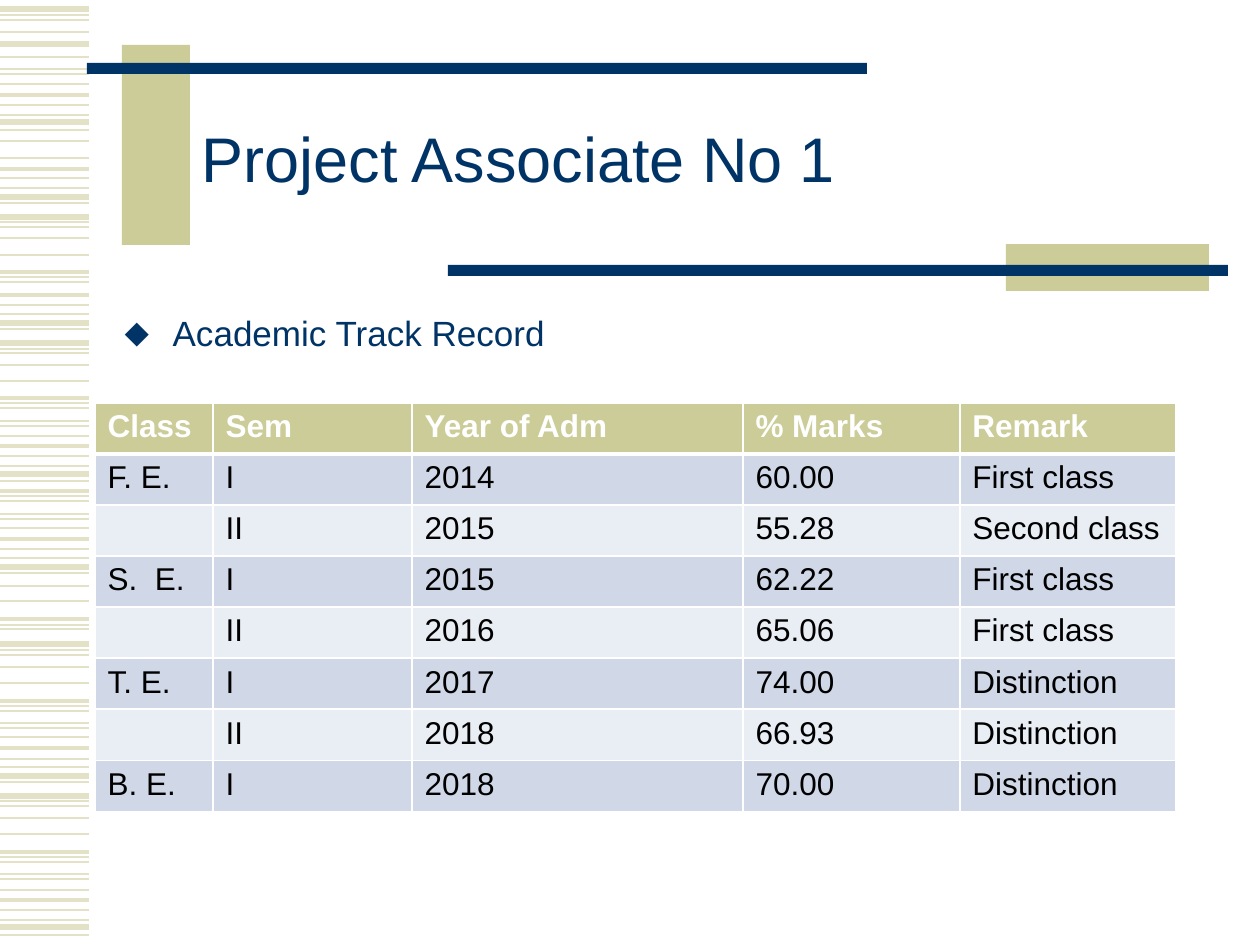
"""Build the academic track record slide."""
from lxml.etree import SubElement as Sub
from pptx import Presentation as Deck
from pptx.dml.color import RGBColor as Rgb
from pptx.enum.shapes import MSO_CONNECTOR as Link, MSO_SHAPE as Form
from pptx.enum.text import MSO_ANCHOR as Anchor, MSO_AUTO_SIZE as Fit, PP_ALIGN as Align
from pptx.oxml.ns import qn
from pptx.util import Pt

PX = 914400 / 126
HUES = {"navy": "003366", "khaki": "CCCC99", "stripe": "E3E2C7", "white": "FFFFFF",
        "black": "000000", "dark": "D0D8E8", "light": "E9EDF4"}


def px(*nums):
    """Turn px lengths into EMU."""
    return [round(n * PX) for n in nums]


def style(run, hue, **form):
    """Set the font of a run from format values."""
    for key, val in {"name": "Arial", "bold": False, **form}.items():
        setattr(run.font, key, val)
    run.font.color.rgb = Rgb.from_string(HUES[hue])


deck = Deck()
deck.slide_width, deck.slide_height = px(1260, 945)
slide = deck.slides.add_slide(deck.slide_layouts[1])
shapes = slide.shapes

stripes = {
    3: [9, 44, 122, 197, 217, 323, 343, 474, 567, 644, 776, 796, 927],
    2.25: [95, 169, 272, 295, 398, 446, 491, 539, 619, 701, 748, 852, 900],
    1.5: [57, 74, 105, 130, 178, 203, 282, 305, 329, 408, 426, 456, 481, 501, 519,
          549, 573, 629, 711, 728, 759, 782, 862, 879, 910, 935],
    1: [20, 32, 84, 141, 158, 227, 238, 255, 353, 365, 381, 436, 528, 586, 601,
        655, 667, 683, 737, 806, 818, 834, 890],
    0.75: [15, 69, 115, 188, 222, 277, 314, 349, 403, 421, 466, 496, 514, 558, 625,
           650, 706, 723, 767, 801, 857, 874, 920],
}
for width, tops in stripes.items():
    for top in tops:
        line = shapes.add_connector(Link.STRAIGHT, *px(0, top, 89, top))
        line.line.width = Pt(width)
        line.line.color.rgb = Rgb.from_string(HUES["stripe"])
        Sub(line._element.spPr, qn("a:effectLst"))

bars = [("khaki", 122, 45, 68, 200), ("navy", 87, 63, 780, 11),
        ("khaki", 1006, 244, 203, 47), ("navy", 448, 265, 780, 11)]
for hue, *box in bars:
    bar = shapes.add_shape(Form.RECTANGLE, *px(*box))
    bar.shadow.inherit = False
    bar.fill.solid()
    bar.fill.fore_color.rgb = Rgb.from_string(HUES[hue])
    bar.line.fill.background()

title, body = shapes.title, slide.placeholders[1]
texts = [(title, "Project Associate No 1", 36, Anchor.MIDDLE, (189, 84, 1017, 158)),
         (body, "Academic Track Record", 20, Anchor.TOP, (112, 305, 1096, 534))]
for shape, text, size, anchor, box in texts:
    shape.left, shape.top, shape.width, shape.height = px(*box)
    frame = shape.text_frame
    frame.text = text
    frame.auto_size, frame.vertical_anchor = Fit.NONE, anchor
    frame.paragraphs[0].alignment = Align.LEFT
    style(frame.paragraphs[0].runs[0], "navy", size=Pt(size))
title.text_frame.paragraphs[0].line_spacing = 0.85

props = body.text_frame.paragraphs[0]._p.get_or_add_pPr()
indent, = px(48)
props.set("marL", str(indent))
props.set("indent", str(-indent))
Sub(Sub(props, qn("a:buClr")), qn("a:srgbClr"), val=HUES["navy"])
Sub(props, qn("a:buFont"), typeface="Arial")
Sub(props, qn("a:buChar"), char="⬥")

rows = [
    ["Class", "Sem", "Year of Adm", "% Marks", "Remark"],
    ["F. E.", "I", "2014", "60.00", "First class"],
    ["", "II", "2015", "55.28", "Second class"],
    ["S.  E.", "I", "2015", "62.22", "First class"],
    ["", "II", "2016", "65.06", "First class"],
    ["T. E.", "I", "2017", "74.00", "Distinction"],
    ["", "II", "2018", "66.93", "Distinction"],
    ["B. E.", "I", "2018", "70.00", "Distinction"],
]
wides = px(118, 199, 331, 217, 216)
high, = px(51)
table = shapes.add_table(len(rows), len(wides), *px(95, 403), sum(wides),
                         high * len(rows)).table
for col, wide in zip(table.columns, wides):
    col.width = wide
for r, row in enumerate(rows):
    table.rows[r].height = high
    fill = "khaki" if r == 0 else "dark" if r % 2 else "light"
    thick = {0: "B", 1: "T"}.get(r)
    for c, text in enumerate(row):
        cell = table.cell(r, c)
        props = cell._tc.get_or_add_tcPr()
        for side in "LRTB":
            edge = Sub(props, qn("a:ln" + side), w=str(Pt(3 if side == thick else 1)))
            Sub(Sub(edge, qn("a:solidFill")), qn("a:srgbClr"), val=HUES["white"])
        cell.fill.solid()
        cell.fill.fore_color.rgb = Rgb.from_string(HUES[fill])
        if text:
            cell.text = text
            style(cell.text_frame.paragraphs[0].runs[0], "black" if r else "white",
                  size=Pt(18), bold=r == 0)

deck.save("out.pptx")
